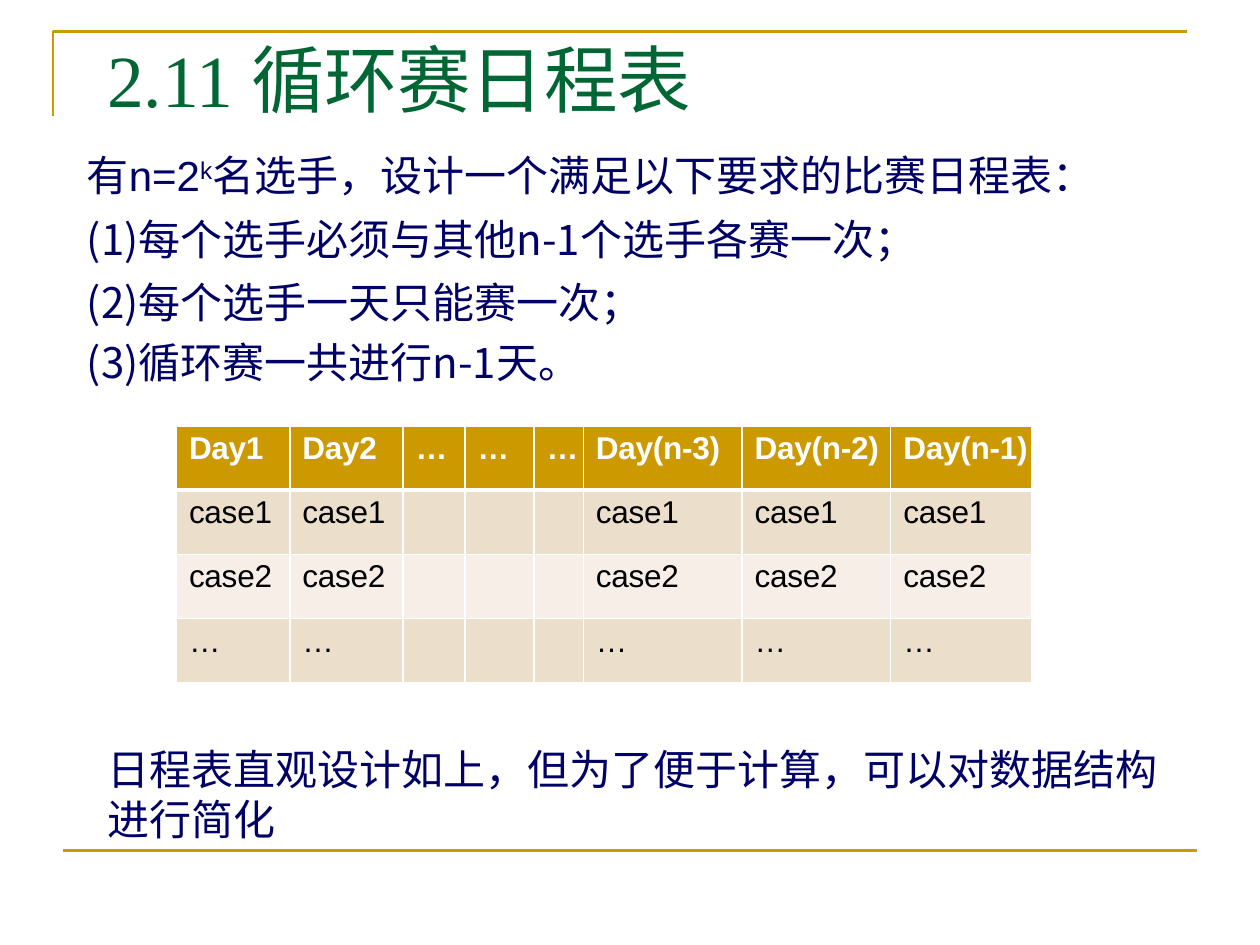
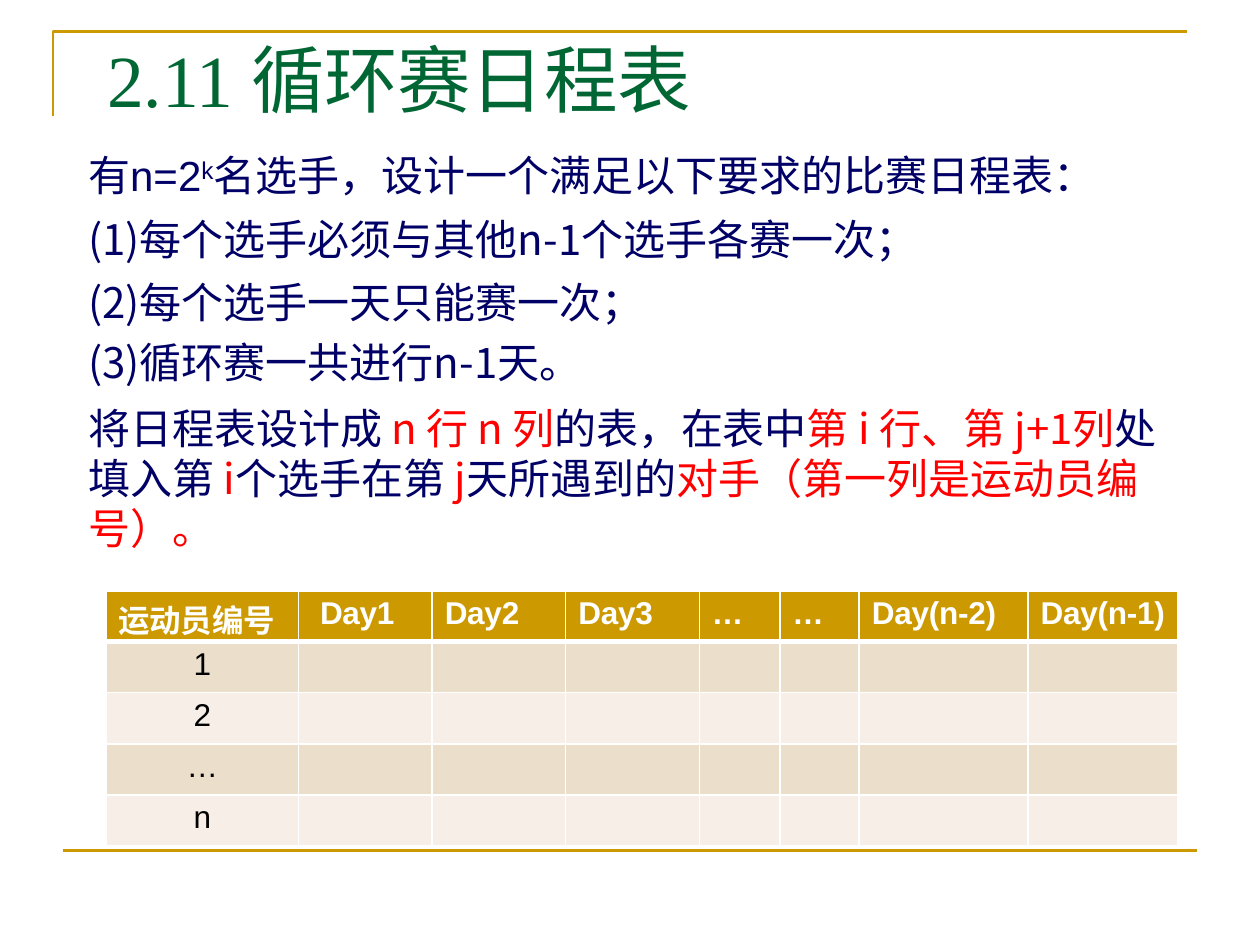
from lxml import etree
from pptx import Presentation
from pptx.dml.color import RGBColor
from pptx.enum.shapes import MSO_CONNECTOR
from pptx.enum.text import MSO_ANCHOR, MSO_AUTO_SIZE, PP_ALIGN
from pptx.oxml.ns import qn
from pptx.util import Inches, Pt

STRAIGHT = MSO_CONNECTOR.STRAIGHT
TOP = MSO_ANCHOR.TOP
NO_FIT = MSO_AUTO_SIZE.NONE
LEFT, CENTER = PP_ALIGN.LEFT, PP_ALIGN.CENTER

GOLD = RGBColor(0xCC, 0x99, 0x00)
GREEN = RGBColor(0x00, 0x66, 0x33)
NAVY = RGBColor(0x00, 0x00, 0x66)
RED = RGBColor(0xFF, 0x00, 0x00)
WHITE = RGBColor(0xFF, 0xFF, 0xFF)
BLACK = RGBColor(0x00, 0x00, 0x00)
SAND = RGBColor(0xEB, 0xDE, 0xCA)
CREAM = RGBColor(0xF6, 0xEE, 0xE7)
HAN = "Noto Sans CJK SC"
SANS = "Arial"
SERIF = "Times New Roman"


def write(para, text, size=24, font=HAN, color=NAVY, bold=False, tracking=0, baseline=0):
    span = para.add_run()
    span.text = text
    span.font.size = Pt(size)
    span.font.name = font
    span.font.color.rgb = color
    span.font.bold = bold
    properties = span._r.get_or_add_rPr()
    etree.SubElement(properties, qn("a:ea"), typeface=HAN)
    if tracking:
        properties.set("spc", str(tracking))
    if baseline:
        properties.set("baseline", str(baseline))


def set_frame(box, area, margin_left, margin_top):
    box.left, box.top, box.width, box.height = [Inches(value) for value in area]
    frame = box.text_frame
    frame.word_wrap = True
    frame.auto_size = NO_FIT
    frame.vertical_anchor = TOP
    frame.margin_left, frame.margin_top = Inches(margin_left), Inches(margin_top)
    frame.margin_right = frame.margin_bottom = 0
    return frame


rules = [
    (8.2, 1.0, [("有", {}), ("n=2", {"font": SANS}), ("k", {"font": SANS, "baseline": 30000}),
                ("名选手，设计一个满足以下要求的比赛日程表：", {})]),
    (1.6, 1.2, [("(1)每个选手必须与其他n-1个选手各赛一次；", {})]),
    (1.6, 1.2, [("(2)每个选手一天只能赛一次；", {})]),
    (5.8, 1.0, [("(3)循环赛一共进行n-1天。", {})]),
]
red = {"color": RED}
table_design = (8.4, 1.0, [
    ("将日程表设计成 ", {}), ("n 行 n 列", red), ("的表，在表中", {}),
    ("第 i 行、第 j+1列", red), ("处填入第 ", {}), ("i", red), ("个选手在第 ", {}),
    ("j", red), ("天所遇到的", {}), ("对手（第一列是运动员编号）。", red)])
closing = (1, 1.0, [("日程表直观设计如上，但为了便于计算，可以对数据结构进行简化", {})])

case_rows = [[case, case, "", "", "", case, case, case] for case in ("case1", "case2", "…")]
player_rows = [[player] + [""] * 7 for player in ("1", "2", "…", "n")]

pages = [
    {
        "texts": [((0.68, 1.07, 8.26, 2.03), 0.01, 0.12, rules),
                  ((0.84, 5.89, 8.36, 0.83), 0.01, 0.01, [closing])],
        "table_at": (1.4, 3.38),
        "widths": [0.9, 0.9, 0.49, 0.55, 0.39, 1.26, 1.18, 1.12],
        "row_height": 0.51,
        "rows": [["Day1", "Day2", "…", "…", "…", "Day(n-3)", "Day(n-2)", "Day(n-1)"]] + case_rows,
    },
    {
        "texts": [((0.68, 1.07, 8.53, 3.36), 0.02, 0.12, rules + [table_design])],
        "table_at": (0.84, 4.69),
        "widths": [1.53, 1.06, 1.06, 1.06, 0.64, 0.63, 1.34, 1.19],
        "row_height": 0.4,
        "rows": [["运动员编号", "Day1", "Day2", "Day3", "…", "…", "Day(n-2)", "Day(n-1)"]] + player_rows,
    },
]

deck = Presentation()
deck.slide_width, deck.slide_height = Inches(10), Inches(7.5)

for content in pages:
    page = deck.slides.add_slide(deck.slide_layouts[5])

    outline = page.shapes.build_freeform(Inches(0.42), Inches(0.92))
    outline.add_line_segments(
        [(Inches(0.42), Inches(0.25)), (Inches(9.42), Inches(0.25))], close=False)
    corner = outline.convert_to_shape()
    corner.fill.background()
    corner.shadow.inherit = False
    footer = page.shapes.add_connector(
        STRAIGHT, Inches(0.5), Inches(6.75), Inches(9.5), Inches(6.75))
    etree.SubElement(footer._element.spPr, qn("a:effectLst"))
    for rule in (corner, footer):
        rule.line.color.rgb = GOLD
        rule.line.width = Pt(1.5)

    heading = set_frame(page.shapes.title, (0.84, 0.26, 5.22, 0.76), 0.01, 0.01).paragraphs[0]
    heading.alignment = LEFT
    heading.space_before = Pt(1)
    write(heading, "2.11", size=42, font=SERIF, color=GREEN)
    write(heading, " 循环赛日程表", size=42, font=SERIF, color=GREEN, tracking=-20)

    for area, margin_left, margin_top, paragraphs in content["texts"]:
        box = page.shapes.add_textbox(0, 0, 0, 0)
        frame = set_frame(box, area, margin_left, margin_top)
        for index, (before, spacing, spans) in enumerate(paragraphs):
            para = frame.add_paragraph() if index else frame.paragraphs[0]
            para.space_before = Pt(before)
            para.line_spacing = spacing
            for text, style in spans:
                write(para, text, **style)

    rows, widths, height = content["rows"], content["widths"], content["row_height"]
    left, top = content["table_at"]
    table = page.shapes.add_table(
        len(rows), len(widths), Inches(left), Inches(top),
        Inches(sum(widths)), Inches(height * len(rows))).table
    for column, width in zip(table.columns, widths):
        column.width = Inches(width)
    for row_index, values in enumerate(rows):
        table.rows[row_index].height = Inches(height)
        is_header = row_index == 0
        for column_index, text in enumerate(values):
            cell = table.cell(row_index, column_index)
            cell.fill.solid()
            cell.fill.fore_color.rgb = GOLD if is_header else SAND if row_index % 2 else CREAM
            borders = {"lnL": 1, "lnR": 1, "lnT": 3 if row_index == 1 else 1,
                       "lnB": 3 if is_header else 1}
            properties = cell._tc.get_or_add_tcPr()
            for position, (side, weight) in enumerate(borders.items()):
                border = etree.Element(qn("a:" + side), w=str(Pt(weight)))
                paint = etree.SubElement(border, qn("a:solidFill"))
                etree.SubElement(paint, qn("a:srgbClr"), val=str(WHITE))
                properties.insert(position, border)
            if not text:
                continue
            is_player = values in player_rows
            cell.margin_left = Inches(0 if is_player else 0.17 if values[0] == "运动员编号"
                                      and text == "Day1" else 0.1)
            cell.margin_top = Inches(0.04)
            cell.margin_right = cell.margin_bottom = 0
            para = cell.text_frame.paragraphs[0]
            para.alignment = CENTER if is_player else LEFT
            para.space_before = Pt(3.2)
            write(para, text, size=18, font=HAN if text == "运动员编号" else SANS,
                  color=WHITE if is_header else BLACK, bold=is_header,
                  tracking=-50 if len(text) == 1 else -15)

deck.save("out.pptx")
